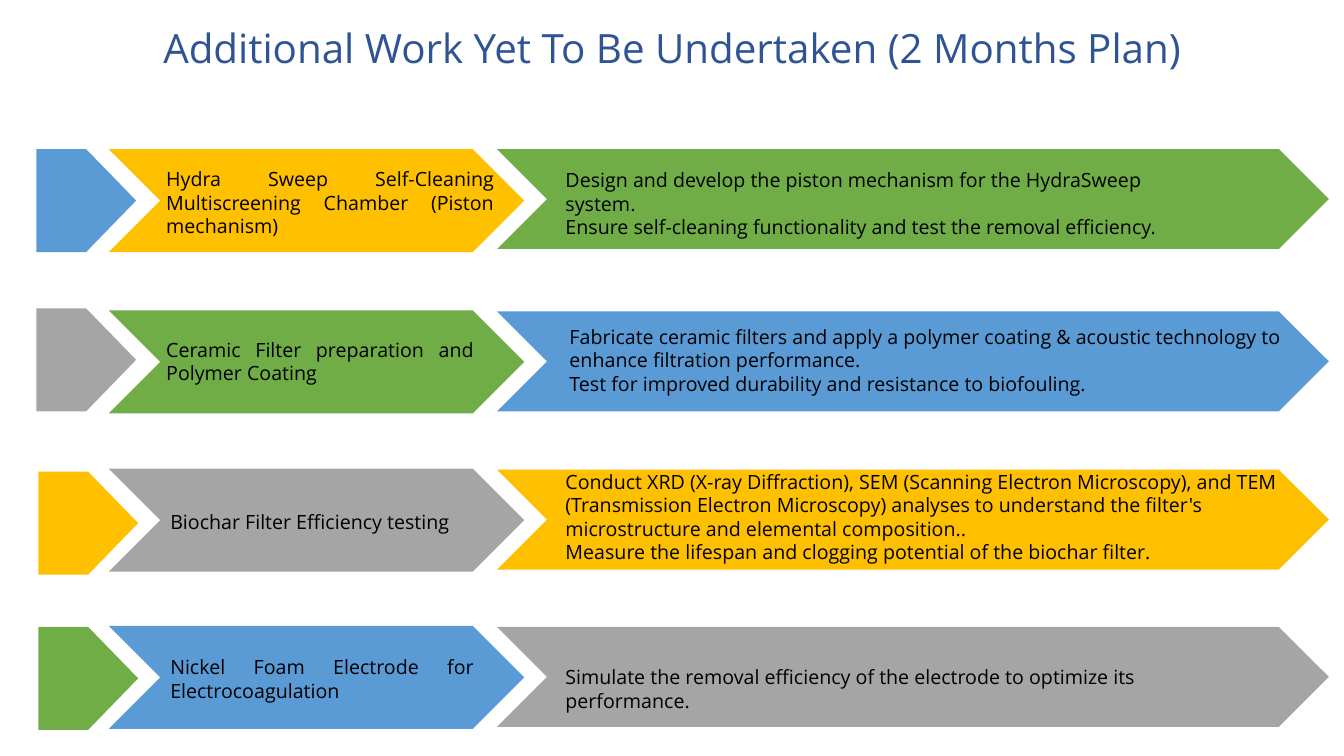
from pptx import Presentation
from pptx.dml.color import RGBColor
from pptx.enum.shapes import MSO_SHAPE as Shape
from pptx.enum.text import MSO_ANCHOR as Anchor, MSO_AUTO_SIZE as AutoSize, PP_ALIGN as Align
from pptx.util import Pt

PX = 9144  # 100 px to the inch
FONT = "Open Sans"
COLORS = {
    "blue": "5B9BD5",
    "green": "70AD47",
    "gold": "FFC000",
    "gray": "A5A5A5",
    "navy": "2F5496",
    "black": "000000",
}

# Each box is (left, top, width, height); part boxes are relative to their row
ROWS = [
    {
        "box": (36, 148, 1282, 102),
        "tag": ("blue", 0, 0),
        "task": ("gold", "Hydra Sweep Self-Cleaning Multiscreening Chamber (Piston mechanism)",
                 (119, 13, 345, 81)),
        "detail": ("green", 0,
                   ["Design and develop the piston mechanism for the HydraSweep system.",
                    "Ensure self-cleaning functionality and test the removal efficiency."],
                   (515, 14, 659, 81)),
    },
    {
        "box": (36, 308, 1282, 102),
        "tag": ("gray", 0, -2),
        "task": ("green", "Ceramic Filter preparation and Polymer Coating",
                 (119, 22, 325, 57)),
        "detail": ("blue", 1,
                   ["Fabricate ceramic filters and apply a polymer coating & acoustic "
                    "technology to enhance filtration performance.",
                    "Test for improved durability and resistance to biofouling."],
                   (519, 9, 757, 81)),
    },
    {
        "box": (36, 465, 1282, 102),
        "tag": ("gold", 2, 3),
        "task": ("gray", "Biochar Filter Efficiency testing", (123, 36, 345, 34)),
        "detail": ("gold", 1,
                   ["Conduct XRD (X-ray Diffraction), SEM (Scanning Electron Microscopy), "
                    "and TEM (Transmission Electron Microscopy) analyses to understand the "
                    "filter's microstructure and elemental composition..",
                    "Measure the lifespan and clogging potential of the biochar filter."],
                   (515, -4, 735, 104)),
    },
    {
        "box": (36, 621, 1282, 102),
        "tag": ("green", 2, 1),
        "task": ("blue", "Nickel Foam Electrode for Electrocoagulation",
                 (123, 24, 321, 57)),
        "detail": ("gray", 1,
                   ["Simulate the removal efficiency of the electrode to optimize its performance."],
                   (515, 34, 710, 57)),
    },
]


def emu(box):
    return [length * PX for length in box]


def within(outer, inner):
    """Turn a box relative to outer into a slide box."""
    return (outer[0] + inner[0], outer[1] + inner[1], inner[2], inner[3])


def add_arrow(slide, preset, box, color):
    arrow = slide.shapes.add_shape(preset, *emu(box))
    arrow.shadow.inherit = False
    arrow.fill.solid()
    arrow.fill.fore_color.rgb = RGBColor.from_string(COLORS[color])
    arrow.line.fill.background()


def add_text(slide, box, lines, size=14, color="black", align=Align.LEFT,
             anchor=Anchor.TOP, spacing=1.0, fit=AutoSize.SHAPE_TO_FIT_TEXT):
    frame = slide.shapes.add_textbox(*emu(box)).text_frame
    frame.word_wrap = True
    frame.auto_size = fit
    frame.vertical_anchor = anchor
    for index, line in enumerate(lines):
        paragraph = frame.add_paragraph() if index else frame.paragraphs[0]
        paragraph.alignment = align
        paragraph.line_spacing = spacing
        run = paragraph.add_run()
        run.text = line
        run.font.name = FONT
        run.font.size = Pt(size)
        run.font.color.rgb = RGBColor.from_string(COLORS[color])


def add_title(slide, box):
    add_text(slide, box, ["Additional Work Yet To Be Undertaken (2 Months Plan)"],
             size=28.8, color="navy", align=Align.CENTER, anchor=Anchor.MIDDLE,
             spacing=0.9, fit=AutoSize.NONE)


def add_plan_row(slide, box, tag, task, detail):
    tag_color, tag_x, tag_y = tag
    task_color, task_text, task_box = task
    detail_color, detail_y, detail_lines, detail_box = detail

    # Arrows
    add_arrow(slide, Shape.CHEVRON, within(box, (457, detail_y, 825, 99)), detail_color)
    add_arrow(slide, Shape.CHEVRON, within(box, (72, 0, 412, 102)), task_color)
    add_arrow(slide, Shape.PENTAGON, within(box, (tag_x, tag_y, 99, 102)), tag_color)

    # Task and its details
    add_text(slide, within(box, task_box), [task_text], align=Align.JUSTIFY)
    add_text(slide, within(box, detail_box), detail_lines)


def main():
    deck = Presentation()
    deck.slide_width, deck.slide_height = 1333 * PX, 750 * PX
    slide = deck.slides.add_slide(deck.slide_layouts[6])
    add_title(slide, (92, 18, 1150, 65))
    for row in ROWS:
        add_plan_row(slide, **row)
    deck.save("out.pptx")


if __name__ == "__main__":
    main()
